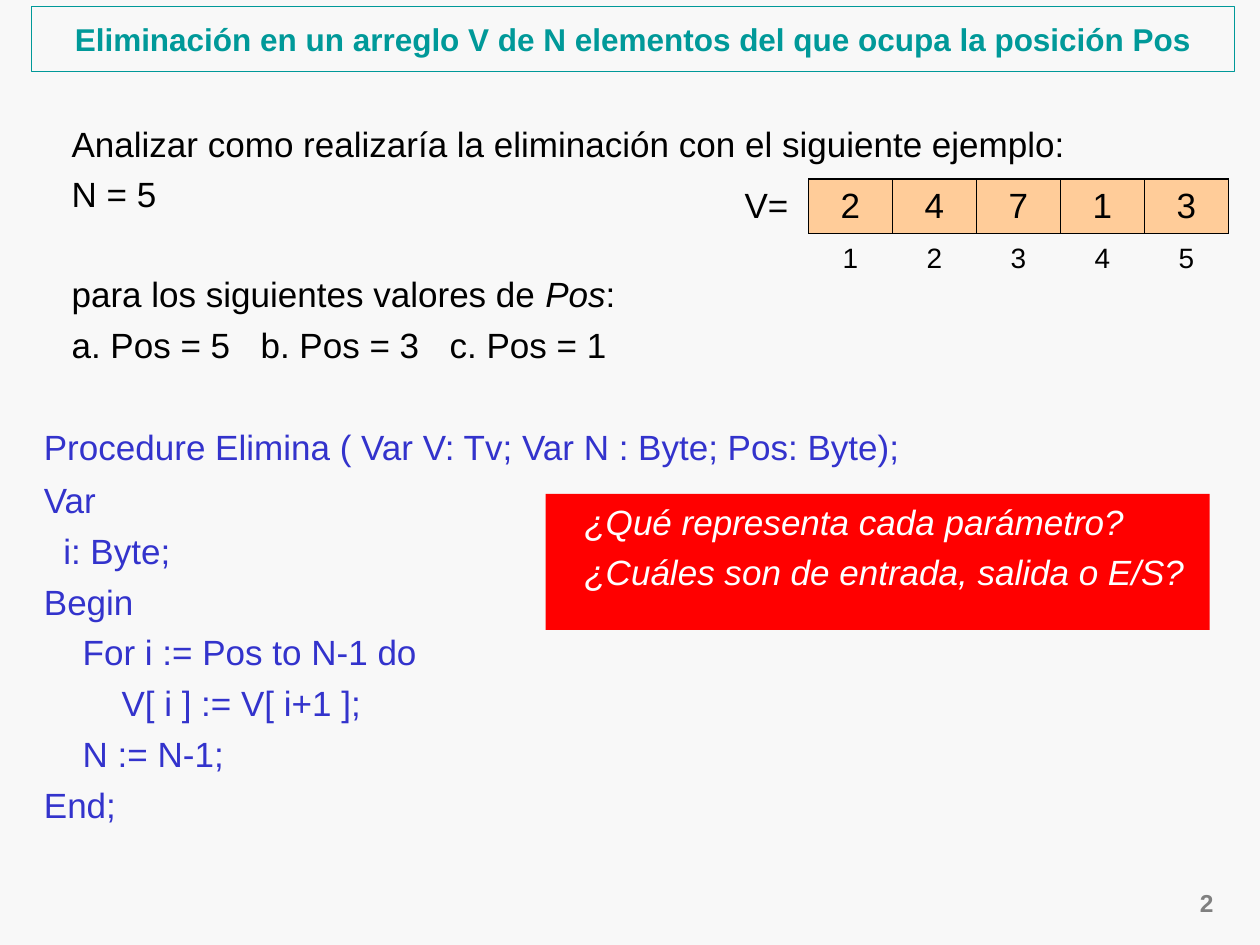
from lxml.etree import SubElement
from pptx import Presentation
from pptx.dml.color import RGBColor
from pptx.enum.shapes import MSO_SHAPE as SHAPE
from pptx.enum.text import MSO_ANCHOR as ANCHOR, PP_ALIGN as ALIGN
from pptx.oxml.ns import qn
from pptx.util import Inches, Pt

BLACK, WHITE, TEAL, BLUE = "000000", "FFFFFF", "009999", "3333CC"
RED, PEACH, GRAY, PAPER = "FF0000", "FFCC99", "808080", "F8F8F8"

# Content
TITLE = "Eliminación en un arreglo V de N elementos del que ocupa la posición Pos"
PAGE = "2"
# Paragraph: list of (text, italic) runs, and whether a line is left free above
EXAMPLE = [
    ([("Analizar como realizaría la eliminación con el siguiente ejemplo:", False)], False),
    ([("N = 5", False)], False),
    ([("para los siguientes valores de ", False), ("Pos", True), (":", False)], True),
    ([("a. Pos = 5\tb. Pos = 3\tc. Pos = 1", False)], False),
]
HEADER = "Procedure Elimina ( Var V: Tv; Var N : Byte; Pos: Byte);"
# Code line: indent in half levels, text
CODE = [
    (0, "Var"),
    (1, "i: Byte;"),
    (0, "Begin"),
    (2, "For i := Pos to N-1 do"),
    (4, "V[ i ] := V[ i+1 ];"),
    (2, "N := N-1;"),
    (0, "End;"),
]
QUESTIONS = ["¿Qué representa cada parámetro?", "¿Cuáles son de entrada, salida o E/S?"]
ARRAY_NAME = "V="
VALUES = [2, 4, 7, 1, 3]

HALF_LEVEL = 0.154   # width of two spaces at 20 pt
GAP = 5              # points above each paragraph
FREE_LINE = 28       # points of one line with its gap


def color(hex_code):
    return RGBColor.from_string(hex_code)


def add_line(frame, runs, ink, size=20, align=ALIGN.JUSTIFY, gap=GAP, bold=False, indent=0):
    """Write the runs in the first paragraph if it is free, else in a new one."""
    line = frame.paragraphs[0]
    if line.runs:
        line = frame.add_paragraph()
    line.alignment = align
    line.space_before = Pt(gap)
    if indent:
        line._p.get_or_add_pPr().set("marL", str(Inches(indent)))
    for text, italic in runs:
        run = line.add_run()
        run.text = text
        run.font.name, run.font.size = "Arial", Pt(size)
        run.font.bold, run.font.italic = bold, italic
        run.font.color.rgb = color(ink)


def add_text(left, top, width, height):
    frame = slide.shapes.add_textbox(*map(Inches, (left, top, width, height))).text_frame
    frame.word_wrap = True
    return frame


def add_box(left, top, width, height, anchor, fill=None, line=None):
    box = slide.shapes.add_shape(SHAPE.RECTANGLE, *map(Inches, (left, top, width, height)))
    box.shadow.inherit = False
    if fill:
        box.fill.solid()
        box.fill.fore_color.rgb = color(fill)
    else:
        box.fill.background()
    if line:
        box.line.color.rgb = color(line)
        box.line.width = Pt(0.75)
    else:
        box.line.fill.background()
    box.text_frame.word_wrap = True
    box.text_frame.vertical_anchor = anchor
    return box.text_frame


def set_borders(cell, widths):
    """Draw the sides named in widths (points) and clear the others."""
    properties = cell._tc.get_or_add_tcPr()
    for place, side in enumerate("LRTB"):
        border = properties.makeelement(qn("a:ln" + side), {})
        properties.insert(place, border)
        if side in widths:
            border.set("w", str(Pt(widths[side])))
            solid = SubElement(border, qn("a:solidFill"))
            SubElement(solid, qn("a:srgbClr"), val=BLACK)
        else:
            SubElement(border, qn("a:noFill"))


def fill_cell(cell, text, size, gap, fill=None, borders=None):
    cell.vertical_anchor = ANCHOR.MIDDLE
    if fill:
        cell.fill.solid()
        cell.fill.fore_color.rgb = color(fill)
    else:
        cell.fill.background()
    set_borders(cell, borders or {})
    if text:
        add_line(cell.text_frame, [(text, False)], BLACK, size, ALIGN.CENTER, gap)


prs = Presentation()
prs.slide_width, prs.slide_height = Inches(10), Inches(7.5)
slide = prs.slides.add_slide(prs.slide_layouts[6])
slide.background.fill.solid()
slide.background.fill.fore_color.rgb = color(PAPER)

# Page number
add_line(add_text(9.08, 7, 0.65, 0.34), [(PAGE, False)], GRAY, 14, ALIGN.RIGHT, 0, bold=True)

# Worked example
example = add_text(0.47, 0.92, 9.06, 2.05)
for runs, free_above in EXAMPLE:
    add_line(example, runs, BLACK, gap=GAP + FREE_LINE * free_above)

# Title
title = add_box(0.25, 0.05, 9.55, 0.52, ANCHOR.MIDDLE, line=TEAL)
add_line(title, [(TITLE, False)], TEAL, 18, ALIGN.CENTER, 0, bold=True)

# Procedure heading
add_line(add_text(0.25, 3.33, 9.06, 0.44), [(HEADER, False)], BLUE)

# Array with its positions below
columns = len(VALUES) + 1
array = slide.shapes.add_table(2, columns, *map(Inches, (5.75, 1.42, 4, 0.8))).table
array.first_row = array.horz_banding = False
for row, height in zip(array.rows, (0.43, 0.37)):
    row.height = Inches(height)
fill_cell(array.cell(0, 0), ARRAY_NAME, 20, 5, borders={"R": 0.45})
fill_cell(array.cell(1, 0), "", 16, 4)
for position, value in enumerate(VALUES, 1):
    right = 1.08 if position == len(VALUES) else 0.45
    frame_lines = {"L": 0.45, "R": right, "T": 1.08, "B": 1.08}
    fill_cell(array.cell(0, position), str(value), 20, 5, PEACH, frame_lines)
    fill_cell(array.cell(1, position), str(position), 16, 4, borders={"T": 1.08})

# Procedure body
body = add_text(0.25, 3.75, 9.08, 2.85)
for level, text in CODE:
    add_line(body, [(text, False)], BLUE, indent=level * HALF_LEVEL)

# Questions
questions = add_box(4.33, 3.92, 5.27, 1.08, ANCHOR.TOP, fill=RED)
for question in QUESTIONS:
    add_line(questions, [(question, True)], WHITE, indent=0.21)

prs.save("out.pptx")
